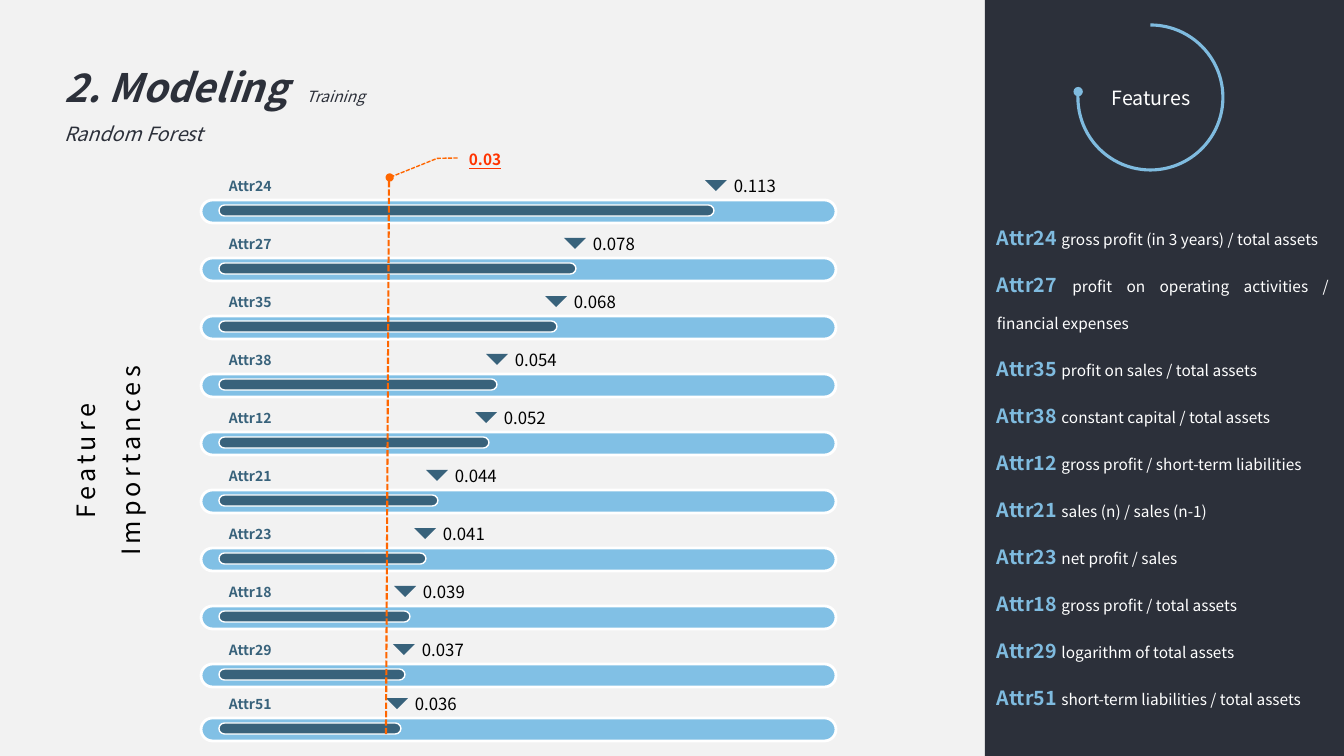
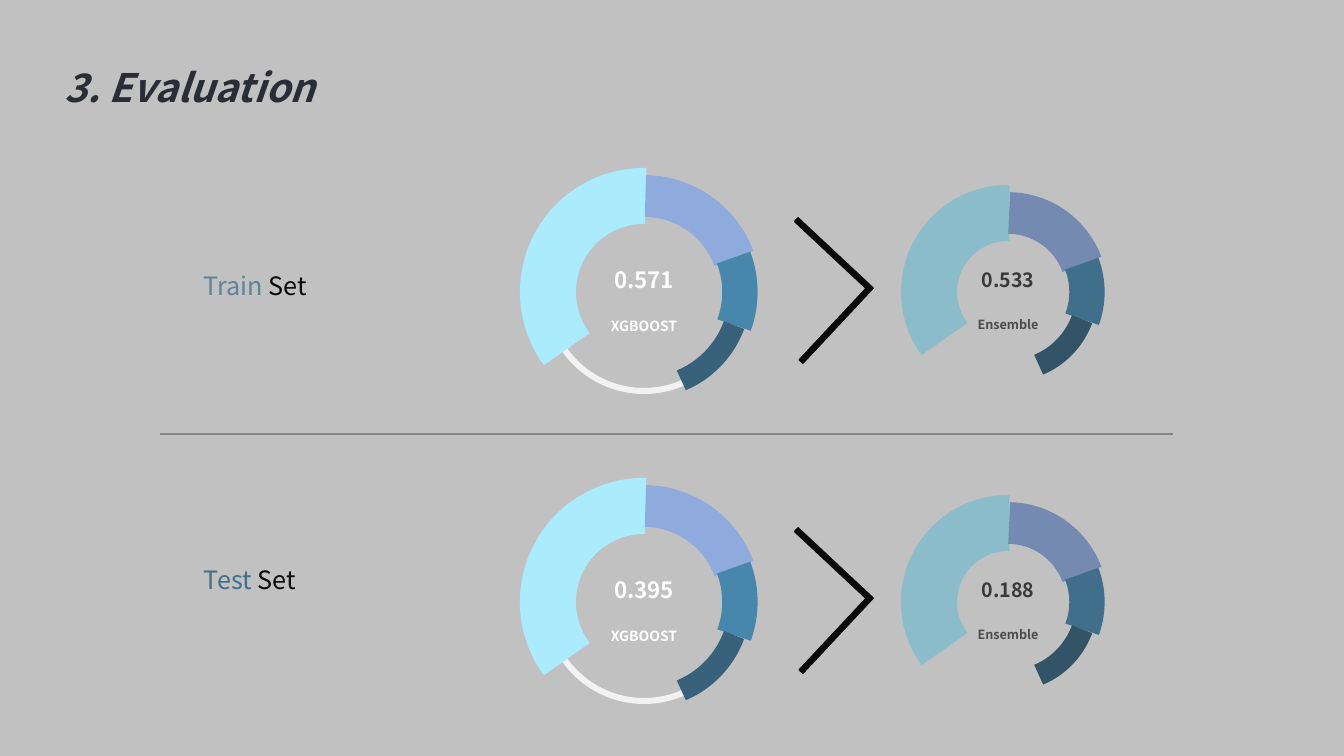
from dataclasses import dataclass

from lxml import etree
from pptx import Presentation
from pptx.dml.color import RGBColor
from pptx.enum.dml import MSO_LINE
from pptx.enum.shapes import MSO_CONNECTOR, MSO_SHAPE
from pptx.enum.text import MSO_ANCHOR, MSO_AUTO_SIZE, PP_ALIGN
from pptx.oxml.ns import qn
from pptx.util import Pt

RECT, ROUND, TRIANGLE = MSO_SHAPE.RECTANGLE, MSO_SHAPE.ROUNDED_RECTANGLE, MSO_SHAPE.ISOSCELES_TRIANGLE
ARC, DONUT, CORNER = MSO_SHAPE.ARC, MSO_SHAPE.DONUT, MSO_SHAPE.CORNER
CALLOUT = MSO_SHAPE.LINE_CALLOUT_2_NO_BORDER
STRAIGHT, DASH = MSO_CONNECTOR.STRAIGHT, MSO_LINE.SQUARE_DOT
LEFT, CENTER, JUSTIFY = PP_ALIGN.LEFT, PP_ALIGN.CENTER, PP_ALIGN.JUSTIFY
TOP, MIDDLE = MSO_ANCHOR.TOP, MSO_ANCHOR.MIDDLE
NO_FIT = MSO_AUTO_SIZE.NONE
WIDTH, HEIGHT = 1344, 756
SCALE = 12192000 / WIDTH
TITLE_ONLY = 5


@dataclass(frozen=True)
class Theme:
    font: str = "Noto Sans CJK KR"
    paper: str = "F2F2F2"
    ink: str = "2C303A"
    black: str = "000000"
    white: str = "FFFFFF"
    sky: str = "7FBBDF"
    track: str = "81C0E5"
    steel: str = "38627B"
    ocean: str = "4787AB"
    periwinkle: str = "8FAADC"
    ice: str = "AAECFE"
    mist: str = "6FA0BF"
    orange: str = "FF6600"
    red: str = "FF3300"
    rule: str = "A5A5A5"
    shade: str = "262626"
    dark_grey: str = "404040"
    mid_grey: str = "595959"
    title: int = 28
    large: int = 18
    score: int = 16
    medium: int = 14
    value: int = 12
    body: int = 11
    small: int = 10
    tiny: int = 9


T = Theme()

FEATURES = [
    ("Attr24", "0.113", 495, 705, "gross profit (in 3 years) / total assets"),
    ("Attr27", "0.078", 357, 564, "profit on operating activities / financial expenses"),
    ("Attr35", "0.068", 338, 545, "profit on sales / total assets"),
    ("Attr38", "0.054", 278, 486, "constant capital / total assets"),
    ("Attr12", "0.052", 270, 475, "gross profit / short-term liabilities"),
    ("Attr21", "0.044", 219, 426, "sales (n) / sales (n-1)"),
    ("Attr23", "0.041", 207, 414, "net profit / sales"),
    ("Attr18", "0.039", 191, 394, "gross profit / total assets"),
    ("Attr29", "0.037", 186, 393, "logarithm of total assets"),
    ("Attr51", "0.036", 182, 386, "short-term liabilities / total assets"),
]
SETS = [
    ("Train", T.mist, 265, 292, "0.571", "0.533"),
    ("Test", T.ocean, 559, 602, "0.395", "0.188"),
]
SEGMENTS = [
    (86.07, 162.65, T.ice, 40),
    (162.53, 203.76, T.periwinkle, 29.75),
    (203.42, 12.09, T.ocean, 25.25),
    (12.1, 40.26, T.steel, 15.5),
]


def px(n):
    return round(n * SCALE)


def rgb(color):
    return RGBColor.from_string(color)


def style(font, size, color, bold=False, italic=False, underline=False):
    font.name = T.font
    font.size = Pt(size)
    font.color.rgb = rgb(color)
    font.bold, font.italic, font.underline = bold, italic, underline


def write(tf, lines, align=LEFT, spacing=None, anchor=TOP, tab=None):
    tf.word_wrap, tf.auto_size, tf.vertical_anchor = True, NO_FIT, anchor
    for i, runs in enumerate(lines):
        p = tf.add_paragraph() if i else tf.paragraphs[0]
        p.alignment = align
        if spacing:
            p.line_spacing = spacing
        if tab and len(runs) > 1:
            tabs = etree.SubElement(p._p.get_or_add_pPr(), qn("a:tabLst"))
            etree.SubElement(tabs, qn("a:tab"), pos=str(px(tab)), algn="l")
        for text, *look in runs:
            r = p.add_run()
            r.text = text
            style(p.font if len(runs) == 1 else r.font, *look)


def text_box(s, box, lines, **layout):
    tb = s.shapes.add_textbox(*map(px, box))
    write(tb.text_frame, lines, **layout)
    return tb


def stroke(line, color, width, dash=None, oval=False):
    line.color.rgb = rgb(color)
    line.width = Pt(width)
    if dash:
        line.dash_style = dash
    if oval:
        etree.SubElement(line._get_or_add_ln(), qn("a:tailEnd"), type="oval")


def shape(s, kind, box, fill=None, line=None, adj=(), rotation=0):
    sp = s.shapes.add_shape(kind, *map(px, box))
    sp.shadow.inherit = False
    sp.rotation = rotation
    for i, value in enumerate(adj):
        sp.adjustments[i] = value
    if fill:
        sp.fill.solid()
        sp.fill.fore_color.rgb = rgb(fill)
    else:
        sp.fill.background()
    if line:
        stroke(sp.line, *line)
    else:
        sp.line.fill.background()
    return sp


def rule(s, ends, *look):
    c = s.shapes.add_connector(STRAIGHT, *map(px, ends))
    stroke(c.line, *look)
    etree.SubElement(c._element.spPr, qn("a:effectLst"))


def titled_slide(prs, height, lines):
    s = prs.slides.add_slide(prs.slide_layouts[TITLE_ONLY])
    title = s.shapes.title
    title.left, title.top, title.width, title.height = map(px, (54, 35, 672, height))
    write(title.text_frame, lines, spacing=1.5, tab=242)
    return s


def feature_panel(s, box):
    x, y, w, h = box
    shape(s, RECT, box, T.ink)
    shape(s, ARC, (x + 93, y + 25, 145, 145), line=(T.sky, 2.25, None, True), adj=(162, 110.78))
    text_box(s, (x + 80, y + 81, 172, 34), [[("Features", T.medium, T.white)]], align=CENTER)
    lines = [[(name + " ", T.medium, T.sky, True), (meaning, T.body, T.white)]
             for name, _, _, _, meaning in FEATURES]
    text_box(s, (x + 2, y + 197, 352, 515), lines, align=JUSTIFY, spacing=2)


def importance_bar(s, x, y, width, feature):
    name, value, length, marker, _ = feature
    shape(s, ROUND, (x, y, width, 23), T.track, (T.white, 2), (0.5,))
    shape(s, ROUND, (x + 18, y + 5, length, 11), T.steel, (T.white, 1), (0.5,))
    shape(s, TRIANGLE, (marker, y - 20, 22, 11), T.steel, rotation=180)
    text_box(s, (x + 18, y - 36, 185, 32), [[(name, T.small, T.steel, True)]], spacing=1.5)
    text_box(s, (marker + 19, y - 29, 71, 30), [[(value, T.value, T.black)]])


def importance_bars(s, box):
    x, y, w, h = box
    pitch, last = 58, y + h - 23
    for i, feature in enumerate(FEATURES):
        importance_bar(s, x, min(y + pitch * i, last), w, feature)
    rule(s, (x + 188, y - 19, x + 185, y + h - 6), T.orange, 1.5, DASH)
    sp = shape(s, CALLOUT, (x + 258, y - 60, 136, 39), line=(T.orange, 1, DASH, True),
               adj=(0.46, -0.01, 0.47, -0.16, 0.96, -0.51))
    write(sp.text_frame, [[("0.03", T.body, T.red, True, False, True)]], align=JUSTIFY, anchor=MIDDLE)


def axis_title(s, box):
    tb = text_box(s, box, [[(word, T.large, T.black)] for word in ("Feature", "Importances")],
                  align=CENTER, spacing=1.5)
    tb.text_frame._txBody.bodyPr.set("vert", "vert270")
    for p in tb.text_frame.paragraphs:
        p.font._element.set("spc", "300")


def gauge(s, cx, cy, size, score, model):
    x, y = cx - size // 2, cy - size // 2
    (value, *value_look), (name, *name_look) = score, model
    text_box(s, (cx - 48, cy - 30, 96, 36), [[(value, *value_look, True)]], align=CENTER, anchor=MIDDLE)
    text_box(s, (cx - 113, cy + 12, 226, 32), [[(name, *name_look, True)]], align=CENTER, spacing=1.5)
    for start, end, color, width in SEGMENTS:
        shape(s, ARC, (x, y, size, size), line=(color, width), adj=(start, end))


def ensemble_row(s, label, color, label_top, cy, score):
    text_box(s, (194, label_top, 152, 40), [[(label, T.large, color), (" Set", T.large, T.black)]])
    shape(s, CORNER, (749, cy - 53, 103, 103), T.black, (T.black, 1), (0.05, 0.05), 223.1)
    gauge(s, 1008, cy, 158, (score, T.medium, T.dark_grey), ("Ensemble", T.tiny, T.mid_grey))


def boost_gauge(s, cy, score):
    shape(s, DONUT, (544, cy - 98, 200, 200), T.paper, adj=(0.03,))
    gauge(s, 644, cy, 192, (score, T.score, T.white), ("XGBOOST", T.small, T.white))


def dim(s):
    sp = shape(s, RECT, (0, 0, WIDTH, HEIGHT), T.shade)
    color = sp._element.spPr.find(qn("a:solidFill")).find(qn("a:srgbClr"))
    etree.SubElement(color, qn("a:alpha"), val="24000")


def modeling_slide(prs):
    s = titled_slide(prs, 114, [
        [("2. Modeling\t", T.title, T.ink, True, True), ("Training", T.body, T.ink, False, True)],
        [("Random Forest", T.medium, T.ink, False, True)],
    ])
    feature_panel(s, (985, 0, 359, HEIGHT))
    axis_title(s, (50, 237, 107, 448))
    importance_bars(s, (201, 200, 635, 541))


def evaluation_slide(prs):
    s = titled_slide(prs, 74, [[("3. Evaluation", T.title, T.ink, True, True)]])
    for label, color, label_top, cy, _, ensemble in SETS:
        ensemble_row(s, label, color, label_top, cy, ensemble)
    rule(s, (160, 434, 1173, 434), T.rule, 1.5)
    dim(s)
    for _, _, _, cy, boost, _ in SETS:
        boost_gauge(s, cy, boost)


def main():
    prs = Presentation()
    prs.slide_width, prs.slide_height = px(WIDTH), px(HEIGHT)
    paper = prs.slide_master.background.fill
    paper.solid()
    paper.fore_color.rgb = rgb(T.paper)
    modeling_slide(prs)
    evaluation_slide(prs)
    prs.save("out.pptx")


if __name__ == "__main__":
    main()
